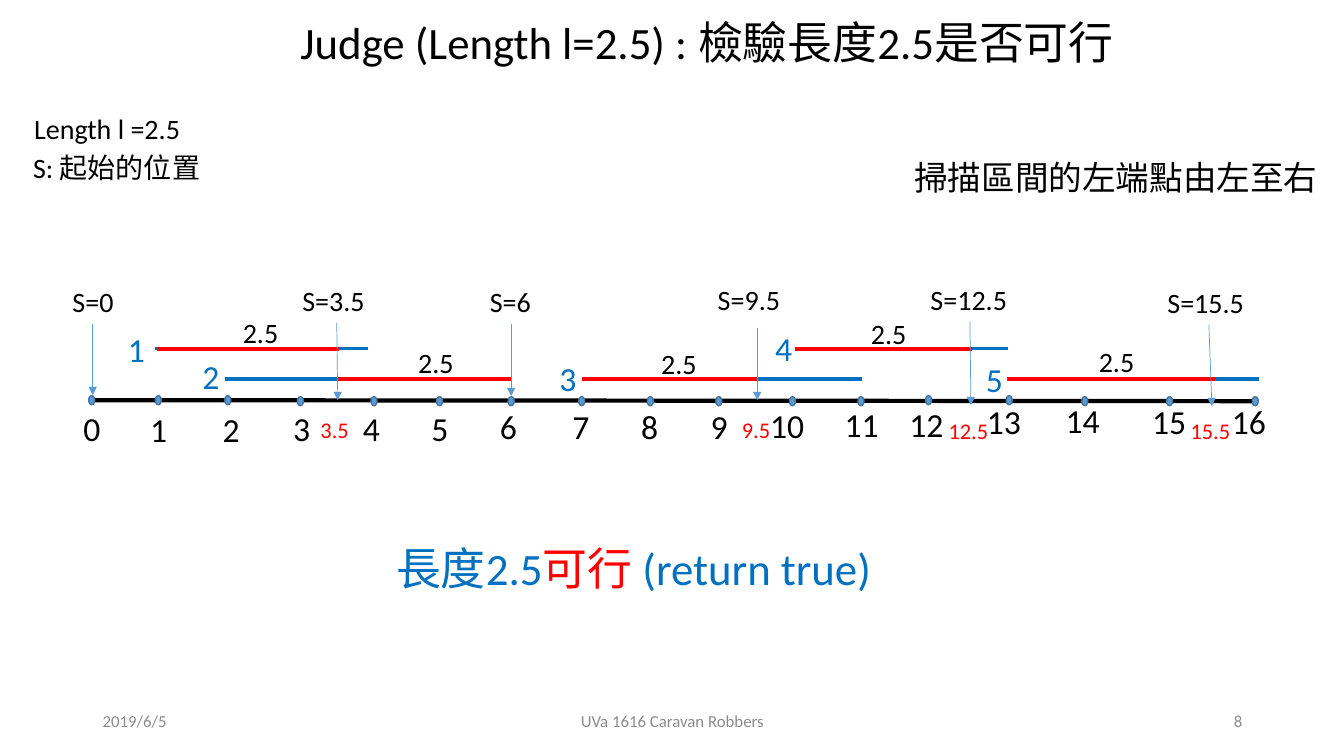
from dataclasses import dataclass

from lxml import etree
from pptx import Presentation
from pptx.dml.color import RGBColor
from pptx.enum import shapes, text
from pptx.oxml import ns
from pptx.util import Inches, Pt

LATIN, ASIAN = "Calibri", "Noto Sans CJK SC"
BLACK, RED, BLUE, SKY, RIM, GREY = (
    "000000", "FF0000", "0070C0", "5B9BD5", "43739E", "8C8C8C")
ALIGN = text.PP_ALIGN


@dataclass
class Tick:
    x: float
    y: float
    left: float
    top: float
    width: float = 0.36


@dataclass
class Span:
    """One interval, its covered part and the places of its two labels."""
    y: float
    start: float
    end: float
    red: tuple[float, float]
    name: tuple[float, float]
    size: tuple[float, float]


@dataclass
class Scan:
    """One position of S: its label box and its arrow."""
    value: str
    left: float
    top: float
    width: float
    x: float
    y: float
    tip: tuple[float, float]


@dataclass
class Note:
    words: str
    left: float
    top: float
    width: float
    size: int
    color: str = BLACK


TICKS = [
    Tick(0.91, 3.97, 0.73, 4), Tick(1.57, 3.97, 1.39, 4.01),
    Tick(2.26, 3.97, 2.11, 4.01), Tick(2.98, 3.98, 2.81, 4),
    Tick(3.71, 3.98, 3.5, 4), Tick(4.36, 3.98, 4.18, 4),
    Tick(5.07, 3.98, 4.86, 3.98), Tick(5.77, 3.98, 5.58, 3.98),
    Tick(6.45, 3.98, 6.26, 3.98), Tick(7.13, 3.98, 6.95, 3.98),
    Tick(7.86, 3.98, 7.54, 3.97, 0.59), Tick(8.54, 3.98, 8.28, 3.96, 0.54),
    Tick(9.21, 3.97, 8.92, 3.96, 0.56), Tick(10.01, 3.97, 9.69, 3.93, 0.56),
    Tick(10.76, 3.98, 10.47, 3.92, 0.56), Tick(11.6, 3.98, 11.33, 3.93, 0.56),
    Tick(12.45, 3.98, 12.12, 3.93, 0.56),
]
SPANS = [
    Span(3.46, 1.54, 3.65, (1.56, 3.36), (1.17, 3.21), (2.31, 3.08)),
    Span(3.76, 2.23, 5.07, (3.35, 5.07), (1.91, 3.48), (4.05, 3.38)),
    Span(3.76, 5.78, 8.55, (5.77, 7.52), (5.45, 3.5), (6.46, 3.39)),
    Span(3.46, 7.89, 10, (7.89, 9.64), (7.59, 3.2), (8.54, 3.09)),
    Span(3.76, 9.99, 12.49, (10, 12.05), (9.68, 3.51), (10.8, 3.37)),
]
SCANS = [
    Scan("0", 0.62, 2.77, 0.62, 0.92, 3.21, (0.92, 3.92)),
    Scan("3.5", 2.9, 2.76, 0.88, 3.34, 3.2, (3.35, 3.97)),
    Scan("6", 4.76, 2.77, 0.63, 5.07, 3.21, (5.07, 3.93)),
    Scan("9.5", 7.02, 2.75, 0.85, 7.51, 3.25, (7.51, 3.97)),
    Scan("12.5", 9.13, 2.75, 0.98, 9.62, 3.19, (9.63, 4.02)),
    Scan("15.5", 11.48, 2.78, 1.01, 11.99, 3.22, (12.02, 4.03)),
]
NOTES = [
    Note("3.5", 3.08, 4.08, 0.55, 16, RED),
    Note("9.5", 7.26, 4.08, 0.51, 16, RED),
    Note("12.5", 9.31, 4.09, 0.61, 16, RED),
    Note("15.5", 11.71, 4.09, 0.61, 16, RED),
    Note("Length l =2.5", 0.24, 1.06, 2.07, 20),
    Note("S: 起始的位置", 0.23, 1.44, 2.24, 20),
    Note("掃描區間的左端點由左至右", 8.97, 1.51, 4.36, 24),
]
FOOTS = [
    (Note("2019/6/5", 0.92, 6.95, 3, 12, GREY), ALIGN.LEFT),
    (Note("UVa 1616 Caravan Robbers", 4.42, 6.95, 4.5, 12, GREY), ALIGN.CENTER),
    (Note("8", 9.42, 6.95, 3, 12, GREY), ALIGN.RIGHT),
]


def rgb(color: str) -> RGBColor:
    return RGBColor.from_string(color)


def style(para, size: int, color: str, align=ALIGN.LEFT) -> None:
    para.alignment = align
    font = para.font
    font.size, font.name = Pt(size), LATIN
    font.color.rgb = rgb(color)
    props = para._p.pPr.find(ns.qn("a:defRPr"))
    etree.SubElement(props, ns.qn("a:ea")).set("typeface", ASIAN)


def write(slide, note: Note, align=ALIGN.LEFT, high: float = 0.44):
    box = slide.shapes.add_textbox(
        Inches(note.left), Inches(note.top), Inches(note.width), Inches(high))
    frame = box.text_frame
    frame.word_wrap = True
    para = frame.paragraphs[0]
    para.text = note.words
    style(para, note.size, note.color, align)
    return frame


def draw(slide, start: tuple[float, float], end: tuple[float, float],
         color: str, width: float, arrow: bool = False) -> None:
    line = slide.shapes.add_connector(
        shapes.MSO_CONNECTOR.STRAIGHT, *map(Inches, start + end))
    line.line.color.rgb = rgb(color)
    line.line.width = Pt(width)
    props = line._element.spPr
    if arrow:
        tail = etree.SubElement(props.find(ns.qn("a:ln")), ns.qn("a:tailEnd"))
        tail.set("type", "triangle")
    etree.SubElement(props, ns.qn("a:effectLst"))


def dot(slide, x: float, y: float) -> None:
    wide, high = 0.06, 0.09
    mark = slide.shapes.add_shape(
        shapes.MSO_SHAPE.OVAL, Inches(x - wide / 2), Inches(y - high / 2),
        Inches(wide), Inches(high))
    mark.shadow.inherit = False
    mark.fill.solid()
    mark.fill.fore_color.rgb = rgb(SKY)
    mark.line.color.rgb = rgb(RIM)
    mark.line.width = Pt(1)


def head(slide) -> None:
    title = slide.shapes.title
    title.left, title.top = Inches(2.88), Inches(0.16)
    title.width, title.height = Inches(8.45), Inches(1.18)
    frame = title.text_frame
    frame.text = "Judge (Length l=2.5) : 檢驗長度2.5是否可行"
    frame.word_wrap = True
    frame.auto_size = text.MSO_AUTO_SIZE.NONE
    frame.vertical_anchor = text.MSO_ANCHOR.TOP
    frame.paragraphs[0].line_spacing = 0.9
    style(frame.paragraphs[0], 32, BLACK)


def result(slide) -> None:
    frame = write(slide, Note("長度2.5", 3.83, 5.32, 5.29, 32, BLUE), high=0.64)
    para = frame.paragraphs[0]
    verdict = para.add_run()
    verdict.text = "可行 "
    verdict.font.color.rgb = rgb(RED)
    para.add_run().text = "(return true)"


def main() -> None:
    deck = Presentation()
    deck.slide_width, deck.slide_height = Inches(13.33), Inches(7.5)
    slide = deck.slides.add_slide(deck.slide_layouts.get_by_name("Title Only"))
    head(slide)
    for foot, align in FOOTS:
        frame = write(slide, foot, align, 0.4)
        frame.vertical_anchor = text.MSO_ANCHOR.MIDDLE

    draw(slide, (0.88, 3.97), (12.42, 3.98), BLACK, 3)
    for num, tick in enumerate(TICKS):
        dot(slide, tick.x, tick.y)
        write(slide, Note(str(num), tick.left, tick.top, tick.width, 24))
    for span in SPANS:
        draw(slide, (span.start, span.y), (span.end, span.y), BLUE, 2.25)
    for num, span in enumerate(SPANS, 1):
        draw(slide, (span.red[0], span.y), (span.red[1], span.y), RED, 3)
        write(slide, Note(str(num), *span.name, 0.36, 24, BLUE))
        write(slide, Note("2.5", *span.size, 0.6, 20))
    for scan in SCANS:
        write(slide, Note(f"S={scan.value}", scan.left, scan.top, scan.width, 20))
        draw(slide, (scan.x, scan.y), scan.tip, SKY, 0.5, arrow=True)
    for note in NOTES:
        write(slide, note)
    result(slide)
    deck.save("out.pptx")


if __name__ == "__main__":
    main()
